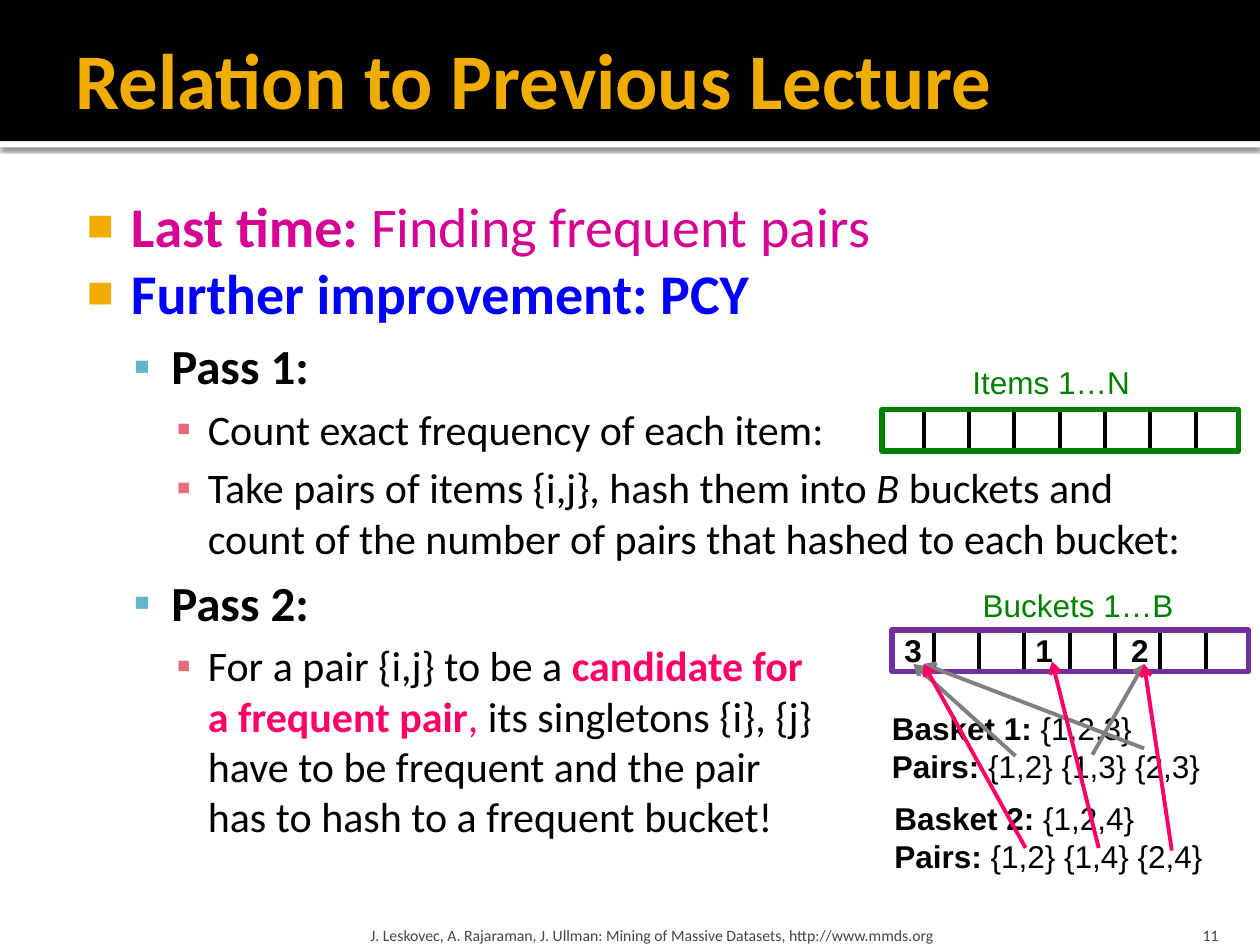
from lxml import etree
from pptx import Presentation
from pptx.dml.color import RGBColor
from pptx.enum.shapes import MSO_CONNECTOR as Connector, MSO_SHAPE as Shape
from pptx.enum.text import MSO_ANCHOR as Anchor, MSO_AUTO_SIZE as AutoSize, PP_ALIGN as Align
from pptx.oxml.ns import qn
from pptx.util import Inches, Pt

COLORS = {
    "black": "000000", "white": "FFFFFF", "gold": "F0AD00", "magenta": "D60093",
    "blue": "0000FF", "teal": "60B5CC", "rose": "E66C7D", "pink": "FF0066",
    "green": "008000", "purple": "7030A0", "gray": "808080", "footer": "454545",
}
# level: bullet, bullet colour, bullet size %, left margin, hanging indent, text size, space before
LEVELS = [
    ("■", "gold", 80, 0.48, 0.35, 32, 0),
    ("▪", "teal", 100, 0.8, 0.3, 28, 5.6),
    ("▪", "rose", 100, 1.09, 0.25, 24, 4.8),
]
DEFAULT_INSETS = (0.1, 0.05, 0.1, 0.05)


def rgb(name):
    return RGBColor.from_string(COLORS[name])


def add_xml(parent, tag, **attributes):
    return etree.SubElement(parent, qn(tag), attributes)


class SlideBuilder:
    def __init__(self, page):
        self.page = page
        self.shapes = page.shapes

    def frame(self, shape, insets=DEFAULT_INSETS, anchor=Anchor.TOP, wrap=True):
        frame = shape.text_frame
        frame.auto_size = AutoSize.NONE
        frame.word_wrap = wrap
        frame.vertical_anchor = anchor
        (frame.margin_left, frame.margin_top,
         frame.margin_right, frame.margin_bottom) = map(Inches, insets)
        return frame

    def style(self, font, size, color, bold=False, italic=False, name="Calibri"):
        font.size, font.name = Pt(size), name
        font.bold, font.italic = bold, italic
        font.color.rgb = rgb(color)

    def spans(self, para, parts, size, name="Calibri"):
        """Add (text, colour, flags) parts; flags may hold b and i, a newline breaks the line."""
        for text, color, flags in parts:
            for index, line in enumerate(text.split("\n")):
                if index:
                    para.add_line_break()
                span = para.add_run()
                span.text = line
                self.style(span.font, size, color, "b" in flags, "i" in flags, name)

    def title(self, text, box):
        title = self.shapes.title
        title.left, title.top, title.width, title.height = map(Inches, box)
        frame = self.frame(title, (0.1, 0.05, 0.05, 0.05), Anchor.MIDDLE)
        frame.text = text
        para = frame.paragraphs[0]
        para.alignment = Align.LEFT
        self.style(para.runs[0].font, 45, "gold", bold=True)
        self.shapes.element.append(title.element)  # in front of the band

    def text(self, box, rows, size=18, name="Arial", wrap=False, **frame_options):
        """Text box with one list of spans for each paragraph."""
        shape = self.shapes.add_textbox(*map(Inches, box))
        frame = self.frame(shape, wrap=wrap, **frame_options)
        for index, parts in enumerate(rows):
            para = frame.add_paragraph() if index else frame.paragraphs[0]
            self.spans(para, parts, size, name)
        return frame

    def outline(self, box, items):
        """Bulleted text from (level, spans) items."""
        shape = self.shapes.add_textbox(*map(Inches, box))
        frame = self.frame(shape, (0.06, 0.1, 0.1, 0.05))
        for index, (level, parts) in enumerate(items):
            bullet, color, percent, margin, hang, size, space = LEVELS[level]
            para = frame.add_paragraph() if index else frame.paragraphs[0]
            para.level = level
            props = para._p.get_or_add_pPr()
            props.set("marL", str(Inches(margin)))
            props.set("indent", str(-Inches(hang)))
            add_xml(add_xml(props, "a:buClr"), "a:srgbClr", val=COLORS[color])
            add_xml(props, "a:buSzPct", val=str(percent * 1000))
            add_xml(props, "a:buFont", typeface="Arial")
            add_xml(props, "a:buChar", char=bullet)
            para.space_before = Pt(space)
            self.spans(para, parts, size)

    def rect(self, box, fill=None, line=None):
        shape = self.shapes.add_shape(Shape.RECTANGLE, *map(Inches, box))
        shape.shadow.inherit = False
        if fill:
            shape.fill.solid()
            shape.fill.fore_color.rgb = rgb(fill)
        else:
            shape.fill.background()
        if line:
            shape.line.color.rgb = rgb(line)
            shape.line.width = Pt(3)
        else:
            shape.line.fill.background()
        return shape

    def drop_shadow(self, shape):
        effects = shape.element.spPr.find(qn("a:effectLst"))
        shadow = add_xml(effects, "a:outerShdw", blurRad=str(Pt(2.5)),
                         dist=str(Pt(0.8)), dir="5400000", rotWithShape="0")
        color = add_xml(shadow, "a:srgbClr", val=COLORS["black"])
        add_xml(color, "a:alpha", val="60000")

    def line(self, start, end, color="black", arrow=False):
        line = self.shapes.add_connector(Connector.STRAIGHT, *map(Inches, start + end))
        line.line.color.rgb = rgb(color)
        line.line.width = Pt(2.25)
        if arrow:
            add_xml(line.line._get_or_add_ln(), "a:tailEnd", type="arrow")
        add_xml(line.element.spPr, "a:effectLst")

    def array(self, left, top, color):
        """Row of eight cells in a coloured frame."""
        width, height, first, step = 2.83, 0.33, 0.33, 0.36
        for index in range(7):
            x = left + first + index * step
            self.line((x, top), (x, top + height))
        self.rect((left, top, width, height), line=color)


def main():
    deck = Presentation()
    deck.slide_width, deck.slide_height = Inches(10), Inches(7.5)
    builder = SlideBuilder(deck.slides.add_slide(deck.slide_layouts[5]))

    builder.drop_shadow(builder.rect((0, 1.12, 10, 0.05), fill="white"))
    builder.rect((0, 0, 10, 1.12), fill="black")
    builder.title("Relation to Previous Lecture", (0.5, 0.08, 9, 1.08))

    builder.outline((0.5, 1.42, 9, 5.92), [
        (0, [("Last time:", "magenta", "b"), (" Finding frequent pairs", "magenta", "")]),
        (0, [("Further improvement: PCY", "blue", "b")]),
        (1, [("Pass 1:", "black", "b")]),
        (2, [("Count exact frequency of each item:", "black", "")]),
        (2, [("Take pairs of items {i,j}, hash them into ", "black", ""),
             ("B", "black", "i"),
             (" buckets and count of the number of pairs that hashed to each bucket:",
              "black", "")]),
        (1, [("Pass 2:", "black", "b")]),
        (2, [("For a pair {i,j} to be a ", "black", ""),
             ("candidate for \na frequent pair", "pink", "b"),
             (", ", "pink", ""),
             ("its singletons {i}, {j} \nhave to be frequent and the pair \n"
              "has to hash to a frequent bucket!", "black", "")]),
    ])

    small = dict(size=9, name="Calibri", wrap=True, anchor=Anchor.BOTTOM)
    builder.text((2.89, 7.2, 6.02, 0.3), [[(
        "J. Leskovec, A. Rajaraman, J. Ullman: Mining of Massive Datasets, http://www.mmds.org",
        "footer", "")]], insets=(0.05, 0.05, 0.05, 0), **small)
    number = builder.text((8.97, 7.2, 0.8, 0.3), [[("11", "footer", "")]],
                          insets=(0.1, 0.05, 0.1, 0), **small)
    number.paragraphs[0].alignment = Align.RIGHT

    builder.array(7, 3.25, "green")
    builder.array(7.08, 5, "purple")
    builder.text((7.62, 2.83, 1.46, 0.4), [[("Items 1…N", "green", "")]])
    builder.text((7.7, 4.6, 1.73, 0.4), [[("Buckets 1…B", "green", "")]])

    baskets = [
        (6.98, 5.58, "Basket 1:", " {1,2,3}", " {1,2} {1,3} {2,3}"),
        (7, 6.29, "Basket 2:", " {1,2,4}", " {1,2} {1,4} {2,4}"),
    ]
    for left, top, label, items, pairs in baskets:
        builder.text((left, top, 2.67, 0.71), [
            [(label, "black", "b"), (items, "black", "")],
            [("Pairs:", "black", "b"), (pairs, "black", "")],
        ])

    for left, count in ((7.08, "3"), (8.12, "1"), (8.88, "2")):
        builder.text((left, 4.96, 0.34, 0.4), [[(count, "black", "b")]])

    arrows = {
        "gray": [((8.06, 6), (7.25, 5.27)), ((9.08, 5.94), (7.33, 5.27)),
                 ((8.67, 5.99), (9.08, 5.27))],
        "pink": [((8.14, 6.73), (7.33, 5.27)), ((9.3, 6.75), (9.08, 5.27)),
                 ((8.72, 6.73), (8.35, 5.25))],
    }
    for color, ends in arrows.items():
        for start, end in ends:
            builder.line(start, end, color, arrow=True)

    deck.save("out.pptx")


if __name__ == "__main__":
    main()
